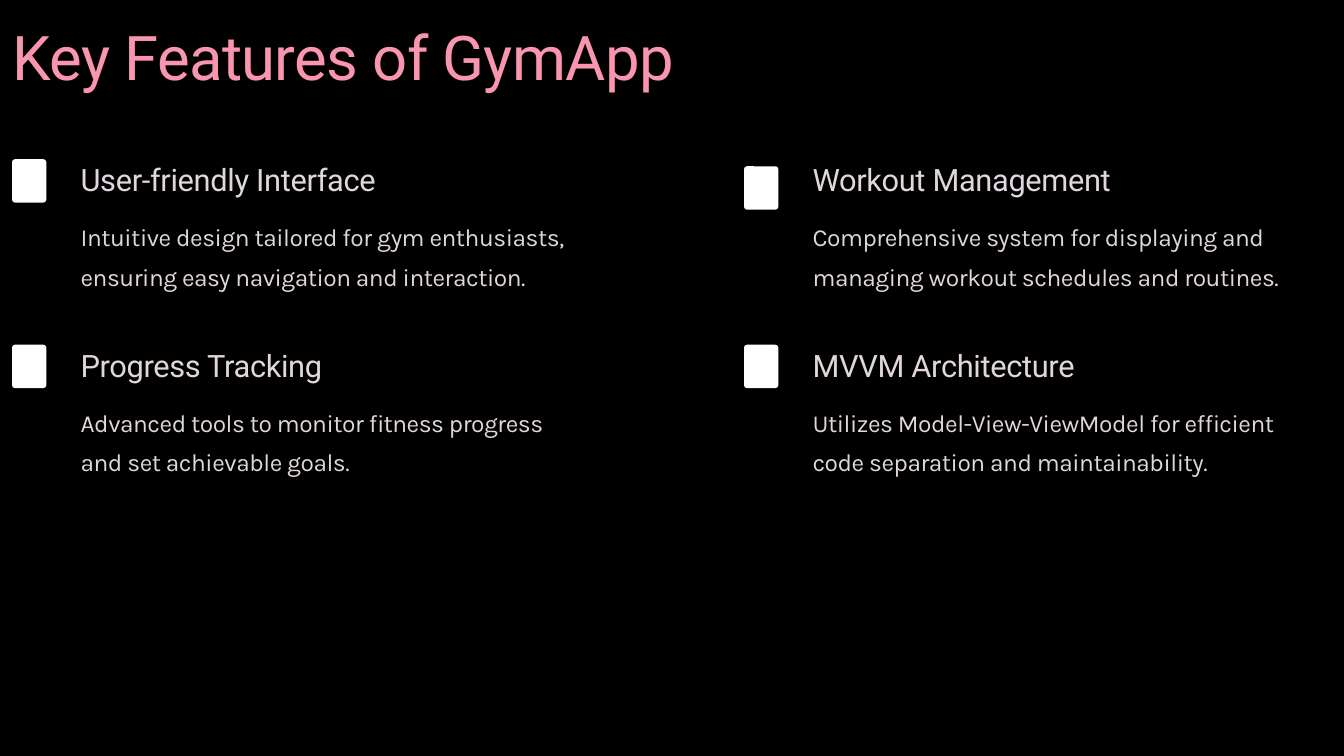
from pptx import Presentation
from pptx.dml.color import RGBColor
from pptx.enum import shapes, text
from pptx.util import Inches, Pt

BLACK = RGBColor(0x00, 0x00, 0x00)
WHITE = RGBColor(0xFF, 0xFF, 0xFF)
PINK = RGBColor(0xFA, 0x95, 0xAF)
PALE = RGBColor(0xE0, 0xD6, 0xDE)

COLUMN_LEFT, COLUMN_STEP = 0.12, 7.26
ROW_TOP, ROW_STEP = 1.58, 1.84
TEXT_INDENT = 0.68
DESCRIPTION_DROP = 0.53

# Heading, description, extra drop of the marker
FEATURES = [
    ("User-friendly Interface",
     "Intuitive design tailored for gym enthusiasts, ensuring easy navigation and interaction.", 0),
    ("Workout Management",
     "Comprehensive system for displaying and managing workout schedules and routines.", 0.07),
    ("Progress Tracking",
     "Advanced tools to monitor fitness progress and set achievable goals.", 0),
    ("MVVM Architecture",
     "Utilizes Model-View-ViewModel for efficient code separation and maintainability.", 0),
]


def write_text(shape, wording, font, size, color, line_height, tracking, wrap):
    """Fill a shape with one unpadded paragraph; tracking is in points."""
    frame = shape.text_frame
    frame.margin_left = frame.margin_right = frame.margin_top = frame.margin_bottom = 0
    frame.word_wrap = wrap
    frame.auto_size = text.MSO_AUTO_SIZE.NONE
    frame.vertical_anchor = text.MSO_ANCHOR.TOP
    paragraph = frame.paragraphs[0]
    paragraph.alignment = text.PP_ALIGN.LEFT
    paragraph.line_spacing = Pt(line_height)
    run = paragraph.add_run()
    run.text = wording
    run.font.name = font
    run.font.size = Pt(size)
    run.font.color.rgb = color
    run._r.get_or_add_rPr().set("spc", str(round(tracking * 100)))


presentation = Presentation()
presentation.slide_width = Inches(13.33)
presentation.slide_height = Inches(7.5)
slide = presentation.slides.add_slide(presentation.slide_layouts[5])
slide.background.fill.solid()
slide.background.fill.fore_color.rgb = BLACK

title = slide.shapes.title
title.left, title.top = Inches(COLUMN_LEFT), Inches(0.16)
title.width, title.height = Inches(7), Inches(0.77)
write_text(title, "Key Features of GymApp", "Roboto", 44, PINK, 55, -0.44, True)

for index, (heading, description, marker_drop) in enumerate(FEATURES):
    row, column = divmod(index, 2)
    left = COLUMN_LEFT + column * COLUMN_STEP
    top = ROW_TOP + row * ROW_STEP
    text_left = Inches(left + TEXT_INDENT)

    marker = slide.shapes.add_shape(
        shapes.MSO_SHAPE.ROUNDED_RECTANGLE,
        Inches(left), Inches(top + marker_drop), Inches(0.34), Inches(0.43))
    marker.adjustments[0] = 0.09
    marker.shadow.inherit = False
    marker.fill.solid()
    marker.fill.fore_color.rgb = WHITE
    marker.line.fill.background()

    heading_box = slide.shapes.add_textbox(text_left, Inches(top), Inches(2.43), Inches(0.38))
    write_text(heading_box, heading, "Roboto", 22, PALE, 27.5, -0.22, False)

    description_box = slide.shapes.add_textbox(
        text_left, Inches(top + DESCRIPTION_DROP), Inches(5), Inches(0.79))
    write_text(description_box, description, "Karla", 17.5, PALE, 28, -0.35, True)

presentation.save("out.pptx")
